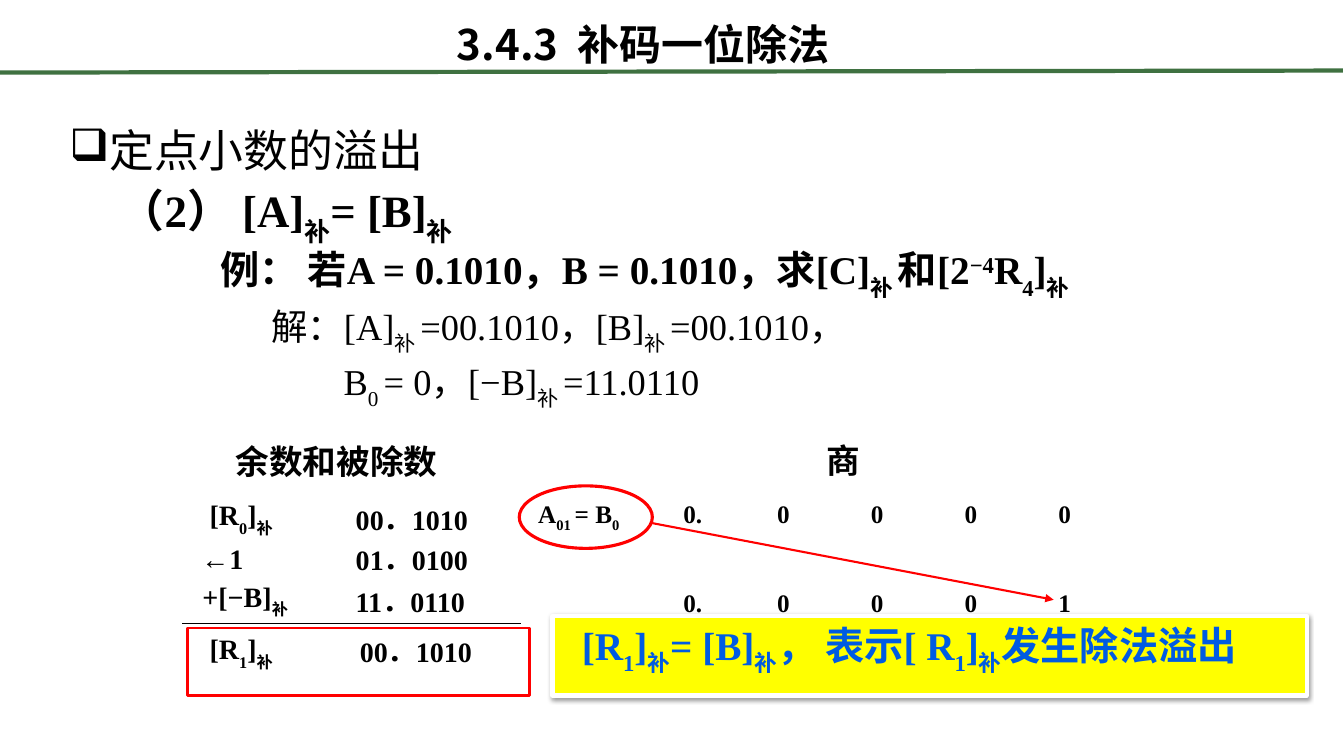
from dataclasses import dataclass

from lxml import etree
from pptx import Presentation
from pptx.dml.color import RGBColor
from pptx.enum.shapes import MSO_CONNECTOR, MSO_SHAPE
from pptx.enum.text import MSO_ANCHOR, PP_ALIGN
from pptx.oxml.ns import qn
from pptx.util import Inches, Pt

STRAIGHT = MSO_CONNECTOR.STRAIGHT
ELLIPSE, RECTANGLE = MSO_SHAPE.OVAL, MSO_SHAPE.RECTANGLE
TOP, MIDDLE = MSO_ANCHOR.TOP, MSO_ANCHOR.MIDDLE
CENTER, LEFT = PP_ALIGN.CENTER, PP_ALIGN.LEFT


@dataclass(frozen=True)
class Theme:
    ink: str = "000000"
    accent: str = "FF0000"
    rule: str = "3F7141"
    callout_fill: str = "FFFF00"
    callout_edge: str = "FFFFFF"
    callout_text: str = "005BE2"
    latin: str = "Times New Roman"
    asian: str = "Noto Sans CJK SC"
    title: int = 30
    body: int = 32
    example: int = 28
    solution: int = 26
    heading: int = 24
    step: int = 20
    digit: int = 18


class SlideBuilder:
    """Draws on one slide; lengths are columns and rows of a 0.1 inch grid."""

    def __init__(self, deck, theme):
        self.theme = theme
        self.slide = deck.slides.add_slide(deck.slide_layouts[6])

    def grid(self, *units):
        return [Inches(unit / 10) for unit in units]

    def add_spans(self, para, markup, size, bold=True, color=None, latin=None):
        """Fill a paragraph; '|' parts spans, '_' lowers one and '^' raises it."""
        for piece in markup.split("|"):
            shift = {"_": "-30000", "^": "30000"}.get(piece[0])
            span = para.add_run()
            span.text = piece[1:] if shift else piece
            span.font.size, span.font.bold = Pt(size), bold
            span.font.name = latin or self.theme.latin
            span.font.color.rgb = RGBColor.from_string(color or self.theme.ink)
            properties = span.font._element
            if shift:
                properties.set("baseline", shift)
            asian = etree.Element(qn("a:ea"), typeface=self.theme.asian)
            properties.find(qn("a:latin")).addnext(asian)

    def text(self, at, markup, size, **style):
        box = self.slide.shapes.add_textbox(*self.grid(*at))
        box.text_frame.word_wrap = True
        self.add_spans(box.text_frame.paragraphs[0], markup, size, **style)
        return box

    def title(self, at, markup):
        box = self.text(at, markup, self.theme.title, latin=self.theme.asian)
        box.text_frame.vertical_anchor = MIDDLE
        box.text_frame.paragraphs[0].alignment = CENTER

    def body(self, at, lines):
        """Each line is (markup, size, bold, indent, space before, bullet)."""
        frame = self.slide.shapes.add_textbox(*self.grid(*at)).text_frame
        frame.word_wrap = True
        for index, (markup, size, bold, indent, before, bullet) in enumerate(lines):
            para = frame.add_paragraph() if index else frame.paragraphs[0]
            para.line_spacing, para.space_before = 0.9, Pt(before)
            self.add_spans(para, markup, size, bold)
            margin = self.grid(indent)[0]
            properties = para._p.get_or_add_pPr()
            properties.set("marL", str(margin))
            properties.set("indent", str(-margin if bullet else 0))
            if bullet:
                etree.SubElement(properties, qn("a:buChar"), char=bullet)

    def shape(self, kind, at, edge, width, fill=None):
        shape = self.slide.shapes.add_shape(kind, *self.grid(*at))
        shape.shadow.inherit = False
        shape.line.color.rgb = RGBColor.from_string(edge)
        shape.line.width = Pt(width)
        if fill:
            shape.fill.solid()
            shape.fill.fore_color.rgb = RGBColor.from_string(fill)
        else:
            shape.fill.background()
        return shape

    def callout(self, at, markup):
        theme = self.theme
        box = self.shape(RECTANGLE, at, theme.callout_edge, 3, theme.callout_fill)
        effects = box._element.spPr.find(qn("a:effectLst"))
        shadow = etree.SubElement(
            effects, qn("a:outerShdw"), blurRad=str(Pt(3.1)), dist=str(Pt(1.6)),
            dir="5400000", algn="t", rotWithShape="0")
        color = etree.SubElement(shadow, qn("a:srgbClr"), val=theme.ink)
        etree.SubElement(color, qn("a:alpha"), val="38000")
        frame = box.text_frame
        frame.word_wrap, frame.vertical_anchor = True, TOP
        frame.margin_left = self.grid(2.9)[0]
        para = frame.paragraphs[0]
        para.alignment = LEFT
        self.add_spans(para, markup, theme.example, color=theme.callout_text)

    def line(self, ends, color, width, arrow=False):
        line = self.slide.shapes.add_connector(STRAIGHT, *self.grid(*ends))
        line.line.color.rgb = RGBColor.from_string(color)
        line.line.width = Pt(width)
        if arrow:
            outline = line._element.spPr.find(qn("a:ln"))
            etree.SubElement(outline, qn("a:tailEnd"), type="triangle")
        etree.SubElement(line._element.spPr, qn("a:effectLst"))


def main():
    deck = Presentation()
    deck.slide_width, deck.slide_height = Inches(13.33), Inches(7.5)
    theme = Theme()
    page = SlideBuilder(deck, theme)

    page.title((17, 1.3, 93.6, 6.1), "3.4.3  补码一位除法")
    page.body((5.9, 12.3, 119.4, 55.1), [
        ("定点小数的溢出", theme.body, False, 3.8, 0, "❑"),
        ("（2） [A]|_补|= [B]|_补", theme.body, True, 5, 4, None),
        ("例： 若A = 0.1010，B = 0.1010，求[C]|_补 |和[2|^−4|R|_4|]|_补",
         theme.example, True, 15, 4, None),
        ("解：[A]|_补 |=00.1010，[B]|_补 |=00.1010，",
         theme.solution, False, 20, 6, None),
        ("B|_0 |= 0，[−B]|_补 |=11.0110", theme.solution, False, 27.2, 6, None),
    ])

    page.shape(ELLIPSE, (51.5, 48.2, 13.2, 6.2), theme.accent, 2.25)
    page.line((64.7, 51.9, 104.5, 59.5), theme.accent, 1.5, arrow=True)
    page.line((18.1, 61.9, 51.7, 61.9), theme.ink, 0.75)

    page.text((22.4, 43.2, 25.6, 7.1), "余数和被除数", theme.heading)
    page.text((81, 43.1, 9.3, 5.5), "商", theme.heading)

    steps = [
        (19.8, 48.9, "[R|_0|]|_补", 34.3, 49.4, "00．1010"),
        (19, 53.2, "←1", 34.3, 53.3, "01．0100"),
        (19.1, 57, "+[−B]|_补", 34.3, 57.5, "11．0110"),
        (19.8, 62.2, "[R|_1|]|_补", 34.7, 62.5, "00．1010"),
    ]
    for label_left, label_top, label, value_left, value_top, value in steps:
        page.text((label_left, label_top, 13, 8.9), label, theme.step)
        page.text((value_left, value_top, 18.1, 8.9), value, theme.step)

    page.text((52.4, 48.9, 14.4, 9), "A|_01 |= B|_0", theme.digit)
    digit_width = 9.3
    for top, digits in ((48.9, ("0.", "0", "0", "0", "0")),
                        (57.8, ("0.", "0", "0", "0", "1"))):
        for column, digit in enumerate(digits):
            page.text((66.8 + column * digit_width, top, digit_width, 8.9),
                      digit, theme.digit)

    page.callout((54.8, 61.1, 74.8, 7.9),
                 "[R|_1|]|_补|= [B]|_补|， 表示[ R|_1|]|_补|发生除法溢出")
    page.shape(RECTANGLE, (18.6, 62.3, 33.9, 6.7), theme.accent, 2)
    page.line((0, 7.2, 133.2, 7), theme.rule, 3)
    deck.save("out.pptx")


if __name__ == "__main__":
    main()
